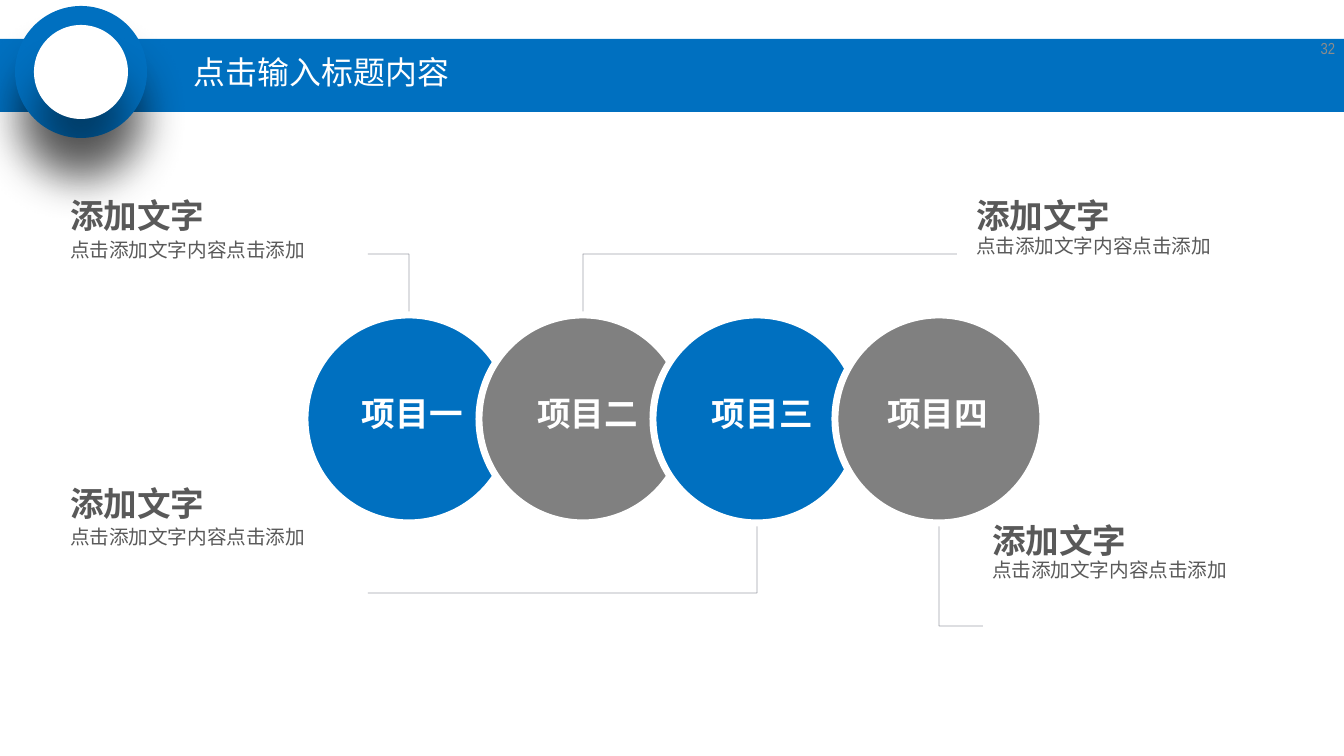
from collections import namedtuple

from lxml.etree import SubElement
from pptx import Presentation
from pptx.dml.color import RGBColor
from pptx.enum.shapes import MSO_CONNECTOR, MSO_SHAPE
from pptx.enum.text import MSO_ANCHOR, PP_ALIGN
from pptx.oxml.ns import qn
from pptx.util import Pt

PX = 9565
BLUE = RGBColor(0x00, 0x70, 0xC0)
GREY = RGBColor(0x80, 0x80, 0x80)
TEXT_GREY = RGBColor(0x59, 0x59, 0x59)
NUMBER_GREY = RGBColor(0x8C, 0x8C, 0x8C)
LINE_GREY = RGBColor(0x41, 0x44, 0x55)
WHITE = RGBColor(0xFF, 0xFF, 0xFF)

HEADING = {"size": Pt(25.3), "bold": True}
BODY = {"size": Pt(14.8)}
TITLE = {"size": Pt(24)}
NUMBER = {"size": Pt(12)}

Box = namedtuple("Box", "left top width height")


def emu(*lengths):
    """Turn px lengths into EMU."""
    return [length * PX for length in lengths]


def write(shape, text, style, color, top_inset=0, anchor=MSO_ANCHOR.TOP, **layout):
    """Write one formatted paragraph into a shape."""
    frame = shape.text_frame
    side, top = emu(9, top_inset)
    settings = {"word_wrap": True, "vertical_anchor": anchor, "margin_left": side,
                "margin_right": side, "margin_top": top, "margin_bottom": 0}
    for name, value in settings.items():
        setattr(frame, name, value)
    para = frame.paragraphs[0]
    for name, value in {"alignment": PP_ALIGN.LEFT, **layout}.items():
        setattr(para, name, value)
    span = para.add_run()
    span.text = text
    for name, value in {"name": "Arial Narrow", **style}.items():
        setattr(span.font, name, value)
    span.font.color.rgb = color


def add_text(page, box, *content, **layout):
    """Add a text box."""
    write(page.shapes.add_textbox(*emu(*box)), *content, **layout)


def add_filled(page, kind, box, color):
    """Add a plain filled shape without outline or shadow."""
    shape = page.shapes.add_shape(kind, *emu(*box))
    shape.shadow.inherit = False
    shape.fill.solid()
    shape.fill.fore_color.rgb = color
    shape.line.fill.background()
    return shape


def add_shadow(shape):
    """Cast a soft shadow straight down."""
    effects = shape._element.spPr.find(qn("a:effectLst"))
    shadow = SubElement(effects, qn("a:outerShdw"), blurRad=str(Pt(33)),
                        dist=str(Pt(33)), dir="5400000", algn="t", rotWithShape="0")
    color = SubElement(shadow, qn("a:srgbClr"), val="000000")
    SubElement(color, qn("a:alpha"), val="43000")


def add_line(page, start, end):
    """Add a thin half-transparent line."""
    line = page.shapes.add_connector(MSO_CONNECTOR.STRAIGHT, *emu(*start, *end))
    line.line.width = Pt(0.5)
    line.line.color.rgb = LINE_GREY
    properties = line._element.spPr
    SubElement(next(properties.iter(qn("a:srgbClr"))), qn("a:alpha"), val="50000")
    SubElement(properties, qn("a:effectLst"))


def add_header(page, box):
    """Draw the title bar with its ring."""
    add_filled(page, MSO_SHAPE.RECTANGLE, box, BLUE)
    for inset, color in ((0, BLUE), (19, WHITE)):
        size = 132 - 2 * inset
        ring = Box(box.left + 15 + inset, box.top - 33 + inset, size, size)
        add_shadow(add_filled(page, MSO_SHAPE.OVAL, ring, color))
    add_text(page, Box(box.left + 185, box.top + 9, 332, 52), "点击输入标题内容",
             TITLE, WHITE, anchor=MSO_ANCHOR.MIDDLE, line_spacing=0.9)
    add_text(page, Box(box.left + box.width - 66, box.top - 11, 66, 40), "32",
             NUMBER, NUMBER_GREY, anchor=MSO_ANCHOR.MIDDLE, alignment=PP_ALIGN.RIGHT)


def add_callout(page, box, body_offset):
    """Write a heading with its description below."""
    add_text(page, box._replace(height=43), "添加文字", HEADING, TEXT_GREY,
             line_spacing=1.4)
    body = box._replace(top=box.top + body_offset, height=box.height - body_offset)
    add_text(page, body, "点击添加文字内容点击添加", BODY, TEXT_GREY, top_inset=2)


def add_leader(page, box, level, end):
    """Lead an elbow line from a circle to its callout."""
    center = box.left + box.width // 2
    start = box.top if level < box.top else box.top + box.height
    add_line(page, (center, start), (center, level))
    add_line(page, (center, level), (end, level))


def add_circle(page, box, label_left, label, color):
    """Draw a project circle with its label."""
    circle = add_filled(page, MSO_SHAPE.OVAL, box, color)
    circle.line.color.rgb = WHITE
    circle.line.width = Pt(5.25)
    label_box = Box(label_left, box.top + 78, 135, 62)
    plate = add_filled(page, MSO_SHAPE.RECTANGLE, label_box, color)
    write(plate, label, HEADING, WHITE)


def add_projects(page, box):
    """Draw the chain of circles with their leaders."""
    circles = [box._replace(left=box.left + offset, width=box.height)
               for offset in (0, 174, 348, 530)]
    leaders = ((254, 368), (254, 957), (593, 368), (626, 983))
    for circle, leader in zip(circles, leaders):
        add_leader(page, circle, *leader)
    labels = ("项目一", "项目二", "项目三", "项目四")
    for index, (circle, label) in enumerate(zip(circles, labels)):
        add_circle(page, circle, box.left + 48 + 175 * index, label,
                   GREY if index % 2 else BLUE)


def main():
    """Build the slide and save it."""
    deck = Presentation()
    deck.slide_width, deck.slide_height = emu(1344, 756)
    page = deck.slides.add_slide(deck.slide_layouts[6])
    add_header(page, Box(0, 39, 1344, 73))
    for left, top, body_offset in ((61, 179, 57), (61, 467, 56),
                                   (967, 179, 53), (983, 504, 52)):
        add_callout(page, Box(left, top, 307, 190), body_offset)
    add_projects(page, Box(305, 315, 738, 208))
    deck.save("out.pptx")


if __name__ == "__main__":
    main()
